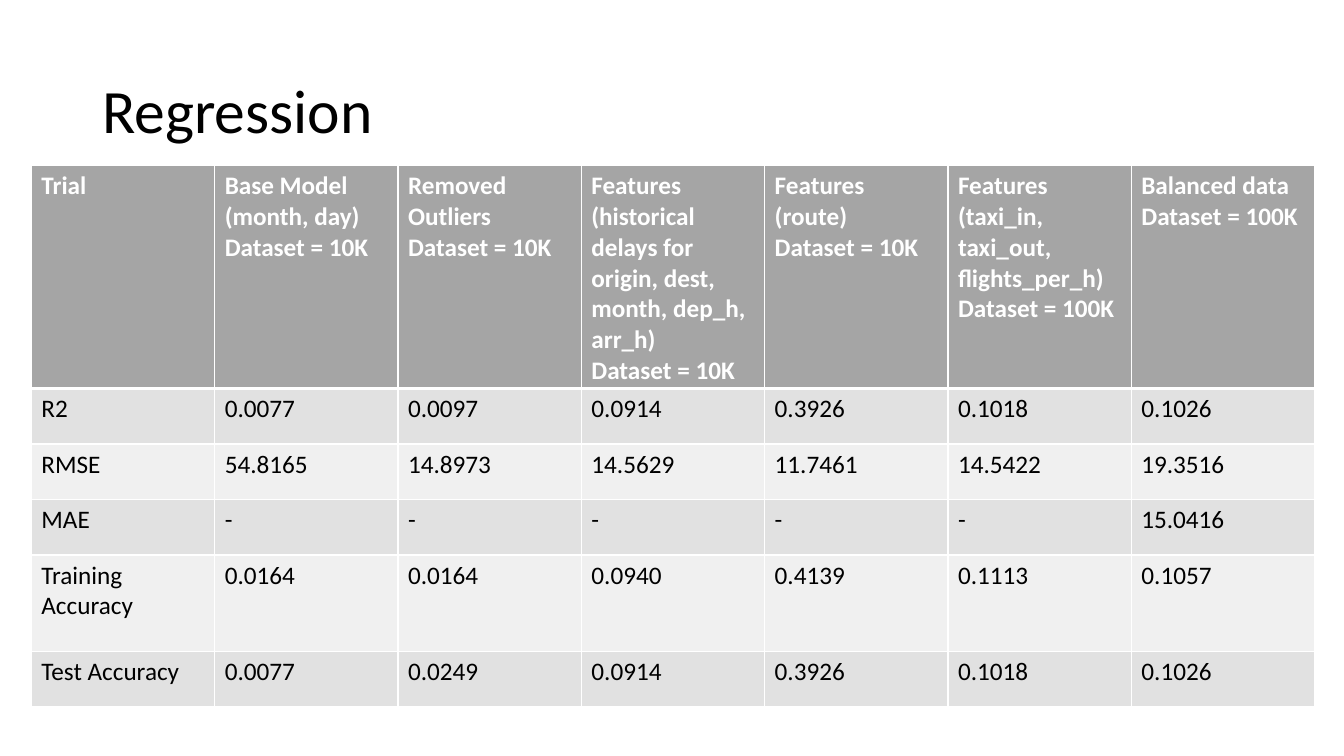
from dataclasses import dataclass

from lxml.etree import SubElement
from pptx import Presentation
from pptx.dml.color import RGBColor
from pptx.enum.text import MSO_ANCHOR
from pptx.oxml.ns import qn
from pptx.slide import Slide
from pptx.table import _Cell
from pptx.text.text import TextFrame
from pptx.util import Cm, Pt

WHITE = RGBColor(0xFF, 0xFF, 0xFF)
BLACK = RGBColor(0, 0, 0)
HEADER_GREY = RGBColor(0xA5, 0xA5, 0xA5)
DARK_BAND = RGBColor(0xE1, 0xE1, 0xE1)
LIGHT_BAND = RGBColor(0xF0, 0xF0, 0xF0)

COL_WIDTH = Cm(4.62)
TITLE_FONT = {"name": "Calibri", "size": Pt(44)}
HEADER_FONT = {"name": "Calibri", "size": Pt(18), "bold": True}
BODY_FONT = {"name": "Calibri", "size": Pt(18), "bold": False}


@dataclass
class Metric:
    label: str
    values: list[str]
    height: float = 1.4


TRIALS = [
    "Trial",
    "Base Model\n(month, day)\nDataset = 10K",
    "Removed Outliers\nDataset = 10K",
    "Features (historical delays for origin, dest, month, dep_h, arr_h)\nDataset = 10K",
    "Features (route)\nDataset = 10K",
    "Features (taxi_in, taxi_out, flights_per_h)\nDataset = 100K",
    "Balanced data\nDataset = 100K",
]
METRICS = [
    Metric("R2", ["0.0077", "0.0097", "0.0914", "0.3926", "0.1018", "0.1026"]),
    Metric("RMSE", ["54.8165", "14.8973", "14.5629", "11.7461", "14.5422", "19.3516"]),
    Metric("MAE", ["-", "-", "-", "-", "-", "15.0416"]),
    Metric("Training Accuracy", ["0.0164", "0.0164", "0.0940", "0.4139", "0.1113", "0.1057"], 2.42),
    Metric("Test Accuracy", ["0.0077", "0.0249", "0.0914", "0.3926", "0.1018", "0.1026"]),
]


def write(tf: TextFrame, text: str, font: dict, color: RGBColor) -> None:
    tf.text = text
    for p in tf.paragraphs:
        for r in p.runs:
            for name, value in font.items():
                setattr(r.font, name, value)
            r.font.color.rgb = color


def set_borders(cell: _Cell, top: float, bottom: float) -> None:
    tc_pr = cell._tc.get_or_add_tcPr()
    for side, width in {"L": 1, "R": 1, "T": top, "B": bottom}.items():
        ln = SubElement(tc_pr, qn(f"a:ln{side}"), w=str(Pt(width)))
        fill = SubElement(ln, qn("a:solidFill"))
        SubElement(fill, qn("a:srgbClr"), val=str(WHITE))


def add_title(s: Slide, text: str) -> None:
    tf = s.shapes.add_textbox(Cm(2.33), Cm(1.01), Cm(29.21), Cm(3.68)).text_frame
    tf.word_wrap = True
    tf.vertical_anchor = MSO_ANCHOR.MIDDLE
    write(tf, text, TITLE_FONT, BLACK)
    tf.paragraphs[0].line_spacing = 0.9


def add_results(s: Slide, trials: list[str], metrics: list[Metric]) -> None:
    rows = [Metric(trials[0], trials[1:], 5.61), *metrics]
    table = s.shapes.add_table(
        len(rows), len(trials), Cm(0.79), Cm(4.18),
        COL_WIDTH * len(trials), Cm(sum(row.height for row in rows)),
    ).table
    for col in table.columns:
        col.width = COL_WIDTH
    for i, row in enumerate(rows):
        table.rows[i].height = Cm(row.height)
        if i == 0:
            font, color, fill = HEADER_FONT, WHITE, HEADER_GREY
        else:
            font, color, fill = BODY_FONT, BLACK, DARK_BAND if i % 2 else LIGHT_BAND
        for j, text in enumerate([row.label, *row.values]):
            cell = table.cell(i, j)
            write(cell.text_frame, text, font, color)
            set_borders(cell, top=3 if i == 1 else 1, bottom=3 if i == 0 else 1)
            cell.fill.solid()
            cell.fill.fore_color.rgb = fill


def main() -> None:
    prs = Presentation()
    prs.slide_width, prs.slide_height = Cm(33.87), Cm(19.05)
    s = prs.slides.add_slide(prs.slide_layouts[6])
    add_title(s, "Regression")
    add_results(s, TRIALS, METRICS)
    prs.save("out.pptx")


if __name__ == "__main__":
    main()
